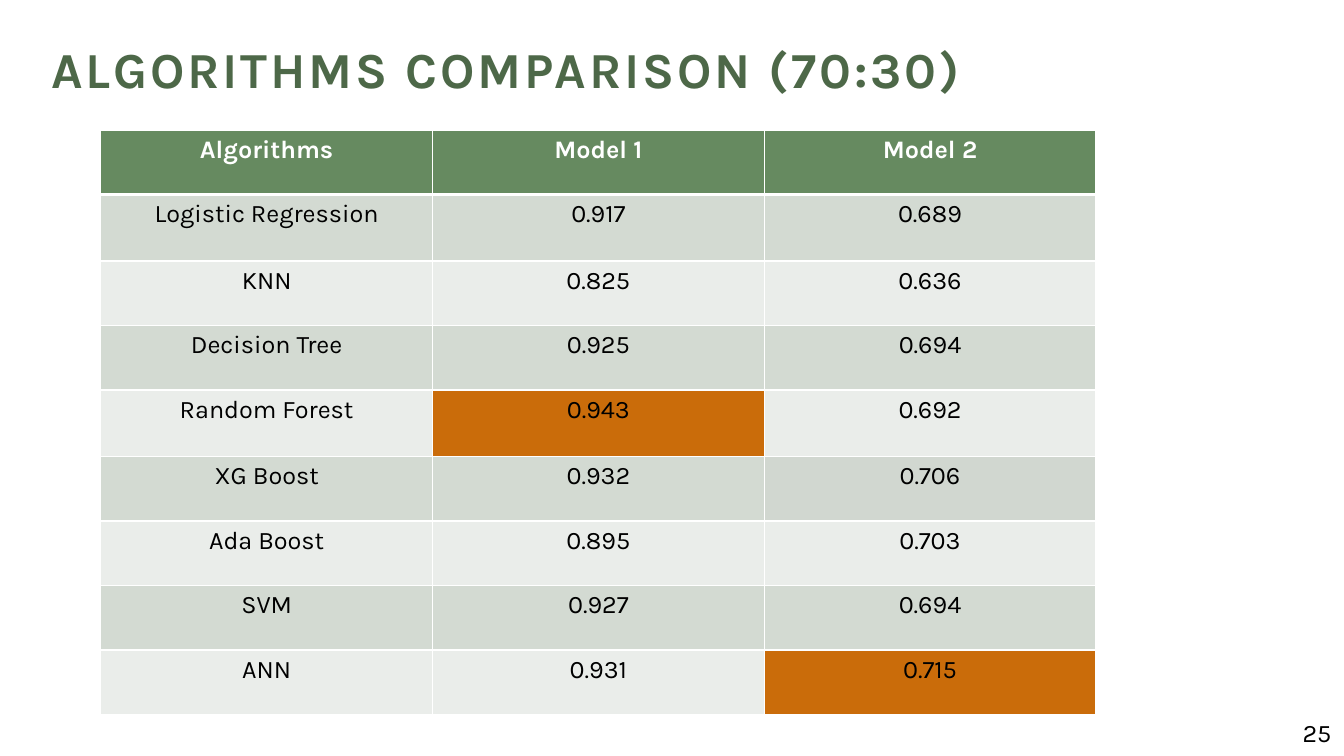
import dataclasses

import pptx
import pptx.dml.color
import pptx.enum.text
import pptx.oxml
import pptx.oxml.ns
import pptx.util
from pptx.util import Inches


@dataclasses.dataclass(frozen=True)
class Theme:
    font: str = "Karla"
    title_size: int = 36
    body_size: int = 18
    title: str = "4D6848"
    header: str = "668A60"
    bands: tuple = ("D3DAD2", "EAEDEA")
    best: str = "CA6C0A"
    muted: str = "D1D7D0"
    white: str = "FFFFFF"
    black: str = "000000"


THEME = Theme()
HEADERS = ("Algorithms", "Model 1", "Model 2")
SCORES = (
    ("Logistic Regression", "0.917", "0.689"),
    ("KNN", "0.825", "0.636"),
    ("Decision Tree", "0.925", "0.694"),
    ("Random Forest", "0.943", "0.692"),
    ("XG Boost", "0.932", "0.706"),
    ("Ada Boost", "0.895", "0.703"),
    ("SVM", "0.927", "0.694"),
    ("ANN", "0.931", "0.715"),
)
SPECIAL_FILLS = {(4, 1): THEME.best, (5, 2): THEME.muted, (8, 2): THEME.best}
TALL_ROWS = (1, 4)


def rgb(color):
    return pptx.dml.color.RGBColor.from_string(color)


def add_run(paragraph, text, size, color, bold=False):
    run = paragraph.add_run()
    run.text = text
    run.font.name = THEME.font
    run.font.size = pptx.util.Pt(size)
    run.font.bold = bold
    run.font.color.rgb = rgb(color)
    return run


def add_title(slide, text):
    title = slide.shapes.title
    title.left, title.top = Inches(0.37), Inches(0.4)
    title.width, title.height = Inches(9.3), Inches(0.89)
    frame = title.text_frame
    frame.word_wrap = True
    frame.auto_size = pptx.enum.text.MSO_AUTO_SIZE.NONE
    frame.vertical_anchor = pptx.enum.text.MSO_ANCHOR.TOP
    frame.margin_left = frame.margin_right = 0
    paragraph = frame.paragraphs[0]
    paragraph.alignment = pptx.enum.text.PP_ALIGN.CENTER
    paragraph.line_spacing = 0.9
    run = add_run(paragraph, text, THEME.title_size, THEME.title, bold=True)
    run.font._element.set("spc", "200")


def set_border(cell, side, points):
    namespace = pptx.oxml.ns.nsdecls("a")
    line = pptx.oxml.parse_xml(
        f'<a:ln{side} {namespace} w="{pptx.util.Pt(points)}">'
        f'<a:solidFill><a:srgbClr val="{THEME.white}"/></a:solidFill></a:ln{side}>'
    )
    cell._tc.get_or_add_tcPr().append(line)


def format_cell(cell, text, row, column):
    is_header = row == 0
    paragraph = cell.text_frame.paragraphs[0]
    paragraph.alignment = pptx.enum.text.PP_ALIGN.CENTER
    color = THEME.white if is_header else THEME.black
    add_run(paragraph, text, THEME.body_size, color, bold=is_header)
    widths = {"L": 1, "R": 1, "T": 3 if row == 1 else 1, "B": 3 if is_header else 1}
    for side, points in widths.items():
        set_border(cell, side, points)
    band = THEME.header if is_header else THEME.bands[(row - 1) % 2]
    cell.fill.solid()
    cell.fill.fore_color.rgb = rgb(SPECIAL_FILLS.get((row, column), band))


def add_score_table(slide):
    rows = (HEADERS, *SCORES)
    frame = slide.shapes.add_table(
        len(rows), len(HEADERS), Inches(1), Inches(1.29), Inches(9.87), Inches(5.79)
    )
    table = frame.table
    for column in table.columns:
        column.width = Inches(3.29)
    for row, texts in enumerate(rows):
        table.rows[row].height = Inches(0.66 if row in TALL_ROWS else 0.64)
        for column, text in enumerate(texts):
            format_cell(table.cell(row, column), text, row, column)


def add_page_number(slide, text):
    box = slide.shapes.add_textbox(
        Inches(12.82), Inches(7.07), Inches(0.51), Inches(0.4)
    )
    box.text_frame.word_wrap = True
    add_run(box.text_frame.paragraphs[0], text, THEME.body_size, THEME.black)


def main():
    presentation = pptx.Presentation()
    presentation.slide_width = Inches(13.33)
    presentation.slide_height = Inches(7.5)
    slide = presentation.slides.add_slide(presentation.slide_layouts[5])
    slide.background.fill.solid()
    slide.background.fill.fore_color.rgb = rgb(THEME.white)
    add_title(slide, "ALGORITHMS COMPARISON (70:30)")
    add_score_table(slide)
    add_page_number(slide, "25")
    presentation.save("out.pptx")


if __name__ == "__main__":
    main()
